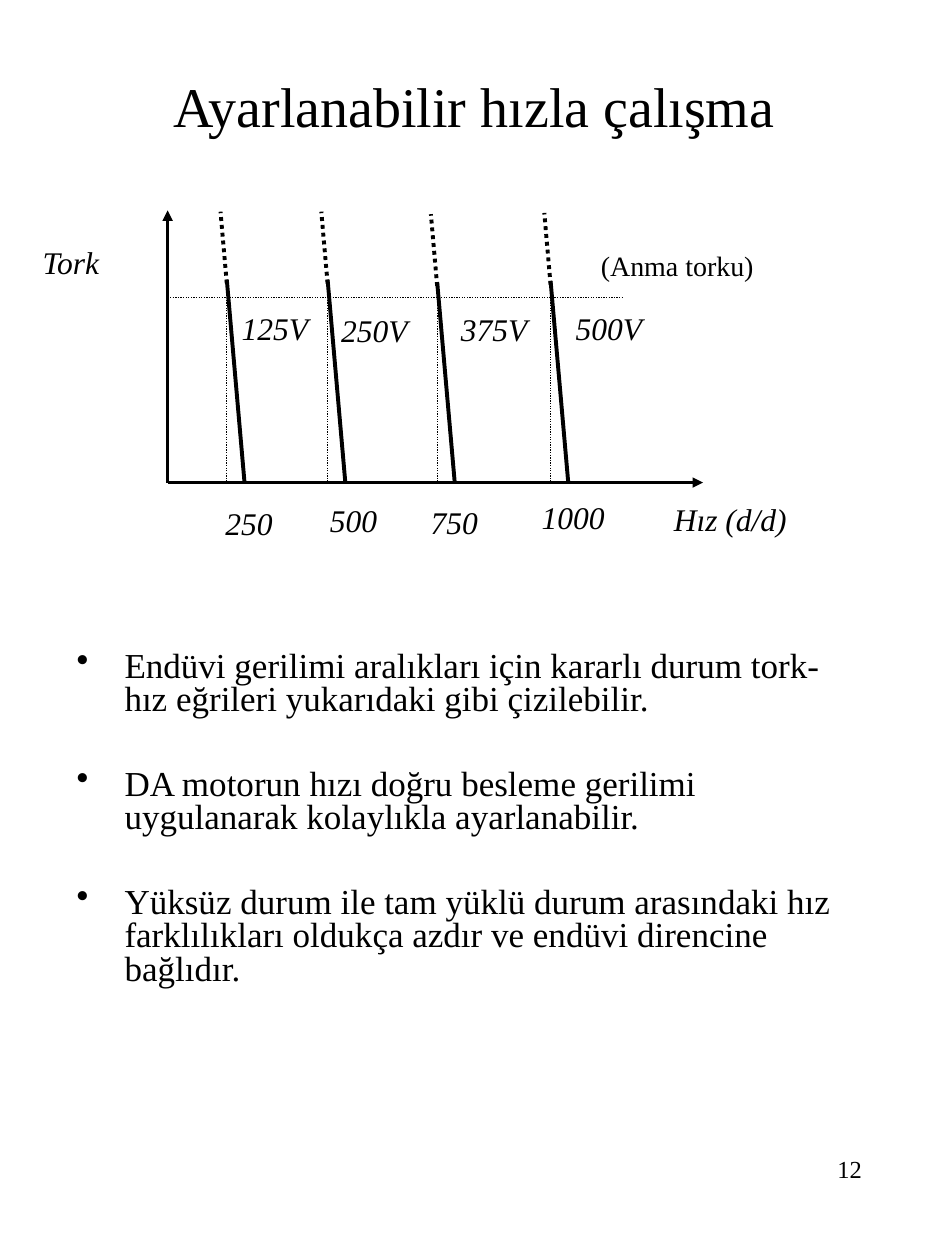
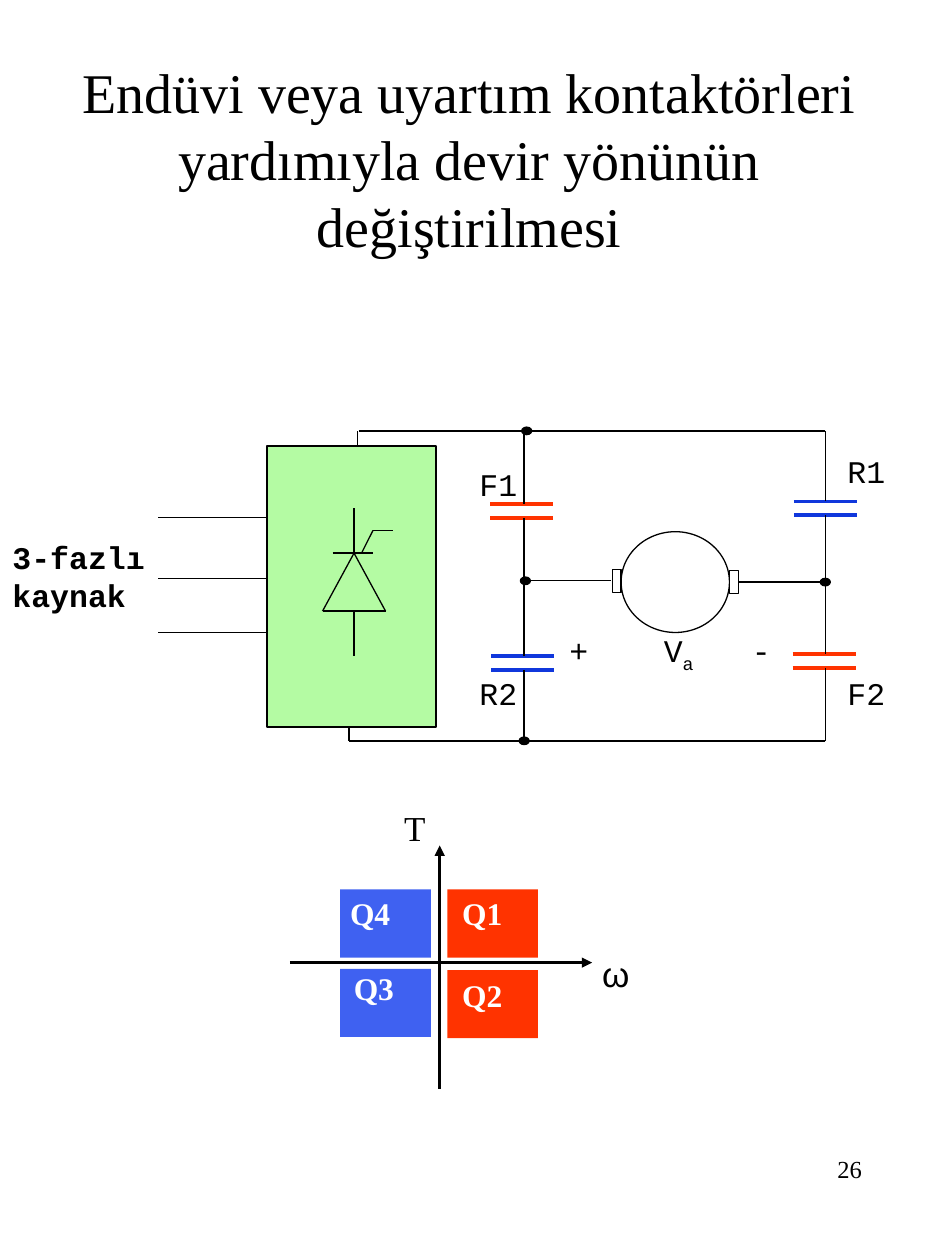
import pptx
import pptx.util
import pptx.dml.color
import pptx.enum.dml
import pptx.enum.shapes
import pptx.enum.text
import pptx.oxml
import pptx.oxml.ns

Inches = pptx.util.Inches
Pt = pptx.util.Pt
SHAPE = pptx.enum.shapes.MSO_SHAPE
ALIGN = pptx.enum.text.PP_ALIGN
ANCHOR = pptx.enum.text.MSO_ANCHOR

BLACK, WHITE, RED, BLUE = "000000", "FFFFFF", "FF3300", "1037DC"
QUAD_BLUE, GREEN = "3F61F1", "B4FBA3"
SERIF, MONO, SANS = "Times New Roman", "Courier New", "Arial"


def rgb(color):
    """Turn a hex string into a colour."""
    return pptx.dml.color.RGBColor.from_string(color)


def sub(parent, tag, **attrs):
    """Append a DrawingML child element with the given attributes."""
    el = pptx.oxml.parse_xml(f"<{tag} {pptx.oxml.ns.nsdecls('a')}/>")
    for key, value in attrs.items():
        el.set(key, value)
    parent.append(el)
    return el


def add_line(s, x1, y1, x2, y2, color=BLACK, width=0.75, dotted=False, arrow=False):
    """Draw a straight line, dotted or with an arrowhead at its end if asked."""
    c = s.shapes.add_connector(pptx.enum.shapes.MSO_CONNECTOR.STRAIGHT,
                               Inches(x1), Inches(y1), Inches(x2), Inches(y2))
    c.line.color.rgb = rgb(color)
    c.line.width = Pt(width)
    if dotted:
        c.line.dash_style = pptx.enum.dml.MSO_LINE.ROUND_DOT
    if arrow:
        sub(c.line._get_or_add_ln(), "a:tailEnd", type="triangle")
    sub(c._element.spPr, "a:effectLst")


def add_shape(s, kind, x, y, w, h, fill, outlined=True):
    """Draw a filled preset shape with a thin black outline or none."""
    sp = s.shapes.add_shape(kind, Inches(x), Inches(y), Inches(w), Inches(h))
    sp.shadow.inherit = False
    sp.fill.solid()
    sp.fill.fore_color.rgb = rgb(fill)
    if outlined:
        sp.line.color.rgb = rgb(BLACK)
        sp.line.width = Pt(0.75)
    else:
        sp.line.fill.background()


def add_run(p, text, size=18, font=SERIF, color=BLACK, bold=False, italic=False):
    """Add one formatted run to a paragraph."""
    r = p.add_run()
    r.text = text
    r.font.size, r.font.name = Pt(size), font
    r.font.bold, r.font.italic = bold, italic
    r.font.color.rgb = rgb(color)
    return r


def add_box(s, x, y, w, h, anchor=ANCHOR.TOP):
    """Add an empty wrapping text box and return its text frame."""
    tf = s.shapes.add_textbox(Inches(x), Inches(y), Inches(w), Inches(h)).text_frame
    tf.word_wrap = True
    tf.vertical_anchor = anchor
    return tf


def add_text(s, x, y, w, h, text, align=ALIGN.LEFT, anchor=ANCHOR.TOP, **style):
    """Add a text box with one run and return its paragraph."""
    p = add_box(s, x, y, w, h, anchor).paragraphs[0]
    p.alignment = align
    add_run(p, text, **style)
    return p


def new_slide(prs, title, x, y, number):
    """Add a blank slide with a centred title and a page number."""
    s = prs.slides.add_slide(prs.slide_layouts[6])
    add_text(s, 5.38, 9.11, 1.56, 0.67, number, ALIGN.RIGHT, size=14)
    add_text(s, x, y, 6.37, 1.67, title, ALIGN.CENTER, ANCHOR.MIDDLE, size=32)
    return s


def bullets(s, x, y, w, h, items):
    """List the items with hanging bullets and wide gaps between them."""
    tf = add_box(s, x, y, w, h)
    for i, item in enumerate(items):
        p = tf.paragraphs[0] if i == 0 else tf.add_paragraph()
        p.line_spacing = 0.8
        p.space_before = Pt(29 if i else 5)
        pPr = p._p.get_or_add_pPr()
        pPr.set("marL", str(Inches(0.38)))
        pPr.set("indent", str(-Inches(0.38)))
        sub(pPr, "a:buChar", char="•")
        add_run(p, item, size=20)


def torque_speed(s, x, y, h=2.16):
    """Draw the torque-speed curves on axes whose top left corner is given."""
    add_line(s, x, y + h, x, y, width=1.5, arrow=True)
    add_line(s, x, y + h, x + 4.25, y + h, width=1.5, arrow=True)
    add_text(s, x - 1.09, y + 0.21, 0.7, 0.4, "Tork", italic=True)
    add_text(s, x + 3.92, y + 2.25, 1.15, 0.4, "Hız (d/d)", italic=True)
    add_line(s, x, y + 0.69, x + 3.61, y + 0.69, dotted=True)
    add_text(s, x + 3.34, y + 0.25, 1.45, 0.37, "(Anma torku)", size=16)
    curves = [
        (0.47, 0.55, "125V", 0.49, 0.73, "250", 0.36, 2.28),
        (1.27, 0.55, "250V", 1.28, 0.75, "500", 1.19, 2.26),
        (2.14, 0.57, "375V", 2.23, 0.74, "750", 1.99, 2.27),
        (3.04, 0.56, "500V", 3.14, 0.73, "1000", 2.87, 2.23),
    ]
    for cx, cy, volts, vx, vy, speed, sx, sy in curves:
        add_line(s, x + cx, y + cy, x + cx + 0.14, y + cy + 1.6, width=2.25)
        add_line(s, x + cx, y + cy + 0.03, x + cx - 0.05, y + cy - 0.54,
                 width=2.25, dotted=True)
        add_line(s, x + cx, y + 0.71, x + cx, y + h, dotted=True)
        add_text(s, x + vx, y + vy, 0.86, 0.4, volts, italic=True)
        add_text(s, x + sx, y + sy, 0.75, 0.4, speed, italic=True)


def quadrants(s, x, y):
    """Draw the four operating quadrants around axes crossing at the given point."""
    cells = [
        ("Q1", 0.06, -0.58, RED, 0.08, -0.59),
        ("Q2", 0.06, 0.06, RED, 0.08, 0.06),
        ("Q3", -0.79, 0.05, QUAD_BLUE, -0.78, 0),
        ("Q4", -0.79, -0.58, QUAD_BLUE, -0.81, -0.59),
    ]
    for name, dx, dy, fill, tx, ty in cells:
        add_shape(s, SHAPE.RECTANGLE, x + dx, y + dy, 0.72, 0.54, fill, outlined=False)
        add_text(s, x + tx, y + ty, 0.97, 0.5, name, color=WHITE, bold=True)
    add_line(s, x, y + 1, x, y - 0.93, width=1.5, arrow=True)
    add_line(s, x - 1.19, y, x + 1.21, y, width=1.5, arrow=True)
    add_text(s, x + 1.19, y - 0.13, 0.86, 0.44, "ω", size=20, font=SANS)
    add_text(s, x - 0.38, y - 1.29, 0.86, 0.44, "T", size=20)


def thyristor(s, x, y):
    """Draw a thyristor symbol whose cathode point is given."""
    strokes = [
        (0, 0, -0.25, 0.46), (0, 0, 0.25, 0.46), (-0.25, 0.46, 0.25, 0.46),
        (-0.17, 0, 0.15, 0), (0.06, 0, 0.15, -0.18), (0.15, -0.18, 0.31, -0.18),
        (0, 0, 0, -0.36), (0, 0.46, 0, 0.82),
    ]
    for x1, y1, x2, y2 in strokes:
        add_line(s, x + x1, y + y1, x + x2, y + y2)


def converter(s, x, y, w, h):
    """Draw the converter block with its three-phase supply."""
    add_shape(s, SHAPE.RECTANGLE, x, y, w, h, GREEN)
    thyristor(s, x + 0.69, y + 0.85)
    for dy in (0.57, 1.05, 1.48):
        add_line(s, x, y + dy, x - 0.87, y + dy)
    add_text(s, x - 2.12, y + 0.68, 1.58, 1, "3-fazlı kaynak", font=MONO, bold=True)
    add_line(s, x + 0.72, y, x + 0.72, y - 0.12)
    add_line(s, x + 0.65, y + h, x + 0.65, y + h + 0.11)


def branch(s, x, y, contacts):
    """Draw a vertical bridge branch with two contactors."""
    ends = [0]
    for name, color, cx, cy, tx, ty in contacts:
        for dy in (0, 0.11):
            add_line(s, x + cx, y + cy + dy, x + cx + 0.5, y + cy + dy, color, 2.25)
        add_text(s, x + tx, y + ty, 1.25, 0.75, name, ALIGN.CENTER, font=MONO)
        ends += [cy, cy + 0.11]
    ends.append(2.46)
    for top, bottom in zip(ends[::2], ends[1::2]):
        add_line(s, x, y + top, x, y + bottom)


def motor(s, x, y):
    """Draw the armature with brushes, leads and voltage label from its left node."""
    add_line(s, x, y, x + 0.69, y)
    add_line(s, x + 1.69, y + 0.01, x + 2.39, y + 0.01)
    add_shape(s, SHAPE.OVAL, x + 0.77, y - 0.39, 0.86, 0.8, WHITE)
    for dx, dy in ((0.7, -0.09), (1.63, -0.08)):
        add_shape(s, SHAPE.RECTANGLE, x + dx, y + dy, 0.07, 0.18, WHITE)
    add_text(s, x + 0.26, y + 0.35, 0.5, 0.59, "+", font=MONO)
    p = add_text(s, x + 1.01, y + 0.35, 0.6, 0.59, "V", font=MONO)
    add_run(p, "a", font=MONO).font._element.set("baseline", "-25000")
    add_text(s, x + 1.71, y + 0.35, 0.5, 0.59, "-", font=MONO)


def bridge(s, x, y):
    """Draw the contactor bridge from the top of its left branch."""
    add_line(s, x + 2.39, y, x - 1.31, y)
    add_line(s, x + 2.39, y + 2.46, x - 1.39, y + 2.46)
    branch(s, x, y, [("F1", RED, -0.27, 0.58, -0.83, 0.22),
                     ("R2", BLUE, -0.26, 1.79, -0.83, 1.88)])
    branch(s, x + 2.39, y, [("R1", BLUE, -0.25, 0.56, -0.3, 0.12),
                            ("F2", RED, -0.26, 1.77, -0.3, 1.88)])
    motor(s, x, y + 1.19)
    for dx, dy in ((0.02, 0), (0.01, 1.19), (0, 2.46), (2.39, 1.2)):
        add_shape(s, SHAPE.OVAL, x + dx - 0.04, y + dy - 0.03, 0.08, 0.06, BLACK)


def main():
    """Build both slides and save the file."""
    prs = pptx.Presentation()
    prs.slide_width, prs.slide_height = Inches(7.5), Inches(10)

    s = new_slide(prs, "Ayarlanabilir hızla çalışma", 0.58, 0, "12")
    bullets(s, 0.51, 5.12, 6.38, 3.68, [
        "Endüvi gerilimi aralıkları için kararlı durum tork-hız eğrileri "
        "yukarıdaki gibi çizilebilir.",
        "DA motorun hızı doğru besleme gerilimi uygulanarak kolaylıkla ayarlanabilir.",
        "Yüksüz durum ile tam yüklü durum arasındaki hız farklılıkları oldukça "
        "azdır ve endüvi direncine bağlıdır.",
    ])
    torque_speed(s, 1.33, 1.67)

    s = new_slide(prs, "Endüvi veya uyartım kontaktörleri yardımıyla devir yönünün "
                  "değiştirilmesi", 0.54, 0.42, "26")
    quadrants(s, 3.49, 7.64)
    bridge(s, 4.16, 3.42)
    converter(s, 2.12, 3.54, 1.34, 2.23)

    prs.save("out.pptx")


if __name__ == "__main__":
    main()
